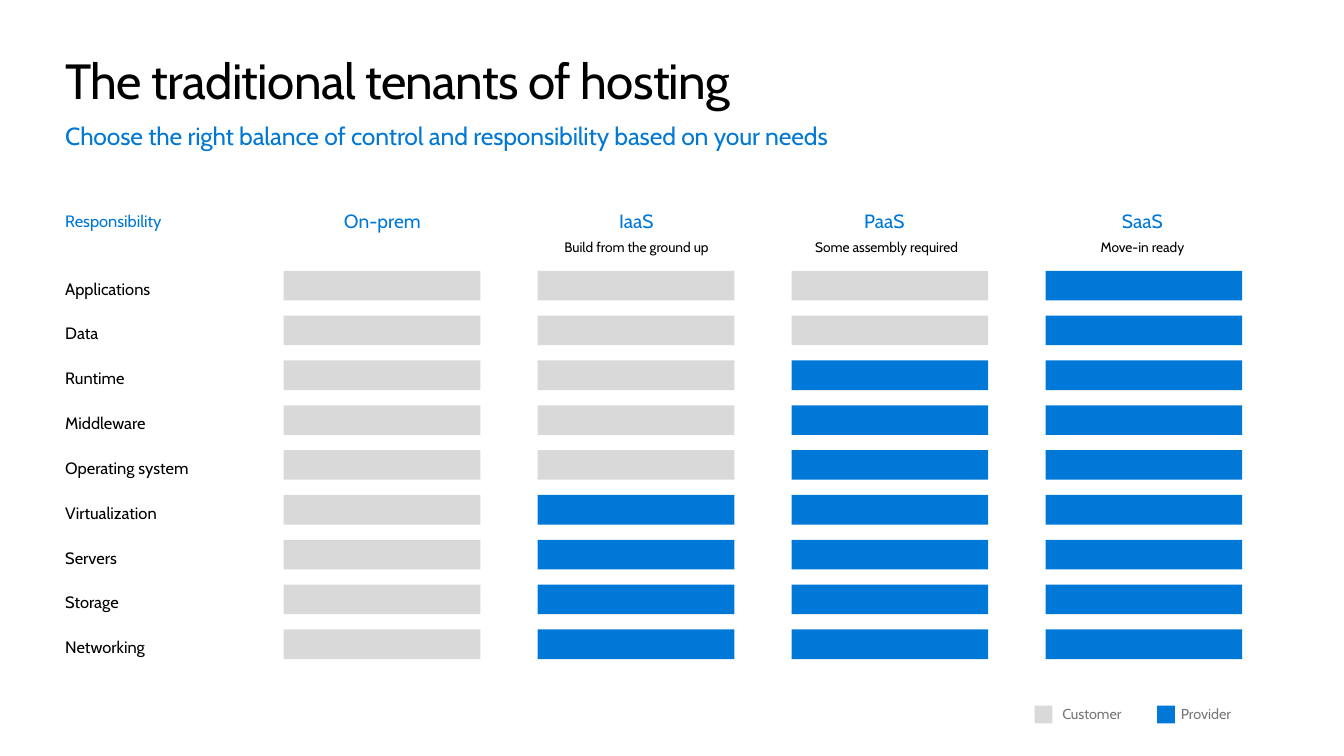
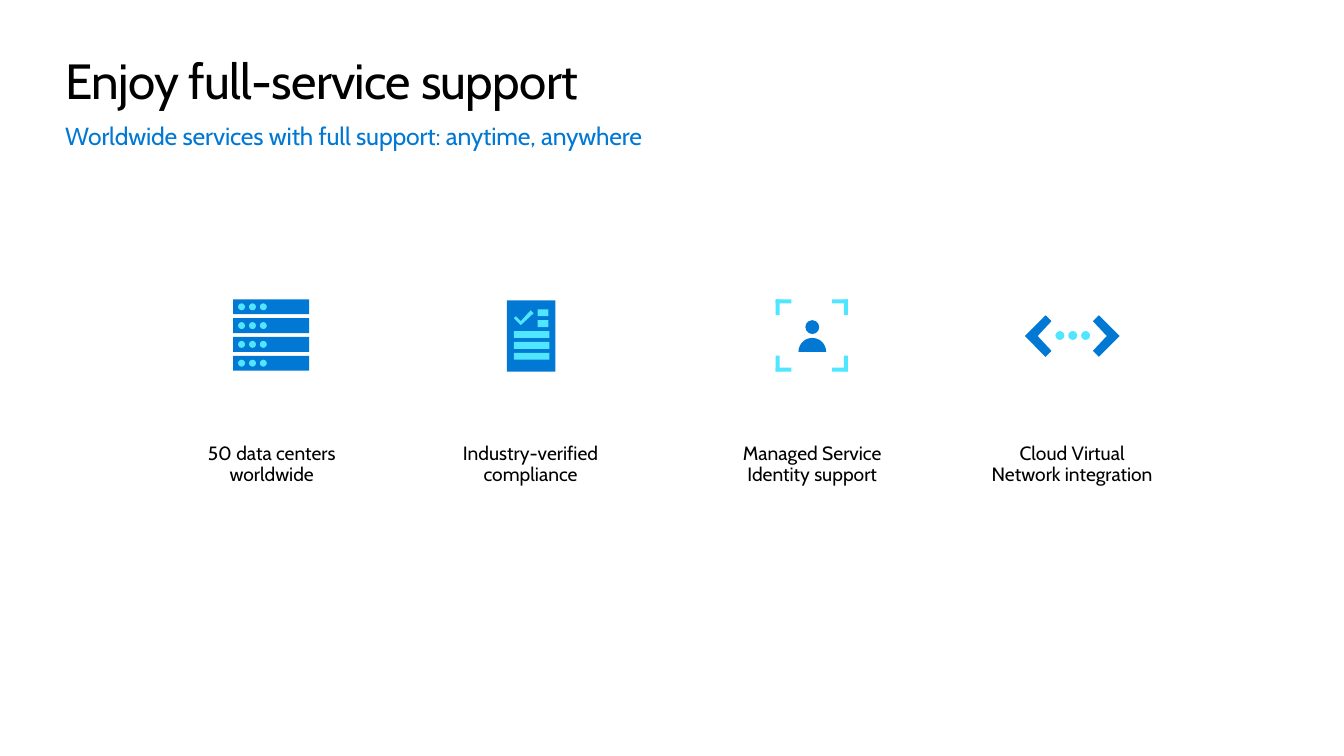
"""Build two slides: hosting responsibilities and full-service support."""
import math
from collections.abc import Callable
from dataclasses import dataclass

from pptx import Presentation
from pptx.dml.color import RGBColor
from pptx.enum.shapes import MSO_SHAPE
from pptx.enum.text import MSO_ANCHOR, PP_ALIGN
from pptx.shapes.autoshape import Shape
from pptx.slide import Slide
from pptx.util import Inches, Pt

RECTANGLE = MSO_SHAPE.RECTANGLE
ELLIPSE = MSO_SHAPE.OVAL
LEFT = PP_ALIGN.LEFT
CENTER = PP_ALIGN.CENTER
TOP = MSO_ANCHOR.TOP
MIDDLE = MSO_ANCHOR.MIDDLE

FONT = "Cabin"
BLACK = RGBColor(0x00, 0x00, 0x00)
WHITE = RGBColor(0xFF, 0xFF, 0xFF)
GRAY = RGBColor(0xD9, 0xD9, 0xD9)
LEGEND_GRAY = RGBColor(0x79, 0x79, 0x79)
BLUE = RGBColor(0x00, 0x78, 0xD7)
ICON_BLUE = RGBColor(0x00, 0x78, 0xD4)
CYAN = RGBColor(0x50, 0xE6, 0xFF)

MARGIN = 0.66
BAR_LEFT = 2.87
BAR_TOP = 2.74
BAR_WIDTH = 1.99
BAR_HEIGHT = 0.3
COLUMN_PITCH = 2.57
ROW_PITCH = 3.63 / 8
ICON_MIDDLE = 3.4
LABEL_INSETS = (0, 0.05, 0.1, 0.05)
BOX_INSETS = (0.1, 0.05, 0.1, 0.05)
NO_INSETS = (0, 0, 0, 0)


@dataclass(frozen=True)
class Style:
    """Look of a one-paragraph text box."""

    size: float
    color: RGBColor = BLACK
    align: PP_ALIGN = LEFT
    anchor: MSO_ANCHOR = TOP
    insets: tuple[float, float, float, float] = LABEL_INSETS
    line_spacing: float = 1.0
    tracking: int = 0


@dataclass(frozen=True)
class Hosting:
    """One hosting model, with the number of rows the customer manages."""

    name: str
    note: str
    customer_rows: int
    name_center: float
    note_center: float


@dataclass(frozen=True)
class LegendEntry:
    """A colour key and its label."""

    label: str
    color: RGBColor
    key_left: float
    label_left: float


@dataclass(frozen=True)
class Benefit:
    """An icon above a caption."""

    caption: str
    center: float
    draw_icon: Callable[[Slide, float], None]


TITLE = Style(36, insets=NO_INSETS, tracking=-50)
SUBTITLE = Style(18, ICON_BLUE, insets=NO_INSETS, tracking=-10)
ROW_LABEL = Style(12)
ROW_HEADING = Style(12, BLUE)
COLUMN_HEADING = Style(14, BLUE, CENTER, insets=BOX_INSETS)
COLUMN_NOTE = Style(10, align=CENTER, insets=BOX_INSETS)
LEGEND_LABEL = Style(10.5, LEGEND_GRAY, anchor=MIDDLE)
CAPTION = Style(14, align=CENTER, insets=BOX_INSETS, line_spacing=0.9)

ROWS = (
    "Applications",
    "Data",
    "Runtime",
    "Middleware",
    "Operating system",
    "Virtualization",
    "Servers",
    "Storage",
    "Networking",
)
HOSTINGS = (
    Hosting("On-prem", "", 9, 3.87, 3.87),
    Hosting("IaaS", "Build from the ground up", 5, 6.44, 6.44),
    Hosting("PaaS", "Some assembly required", 2, 8.95, 8.97),
    Hosting("SaaS", "Move-in ready", 0, 11.56, 11.56),
)
LEGEND = (
    LegendEntry("Customer", GRAY, 10.47, 10.75),
    LegendEntry("Provider", BLUE, 11.71, 11.95),
)


def add_text(page: Slide, text: str, left: float, top: float, width: float,
             height: float, style: Style) -> None:
    """Add a text box holding one paragraph."""
    box = page.shapes.add_textbox(Inches(left), Inches(top), Inches(width), Inches(height))
    frame = box.text_frame
    frame.word_wrap = True
    frame.vertical_anchor = style.anchor
    (frame.margin_left, frame.margin_top,
     frame.margin_right, frame.margin_bottom) = map(Inches, style.insets)
    para = frame.paragraphs[0]
    para.text = text
    para.alignment = style.align
    para.line_spacing = style.line_spacing
    para.font.name = FONT
    para.font.size = Pt(style.size)
    para.font.color.rgb = style.color
    if style.tracking:
        for span in para.runs:
            span._r.get_or_add_rPr().set("spc", str(style.tracking))


def paint(shape: Shape, color: RGBColor) -> None:
    """Give a shape a flat fill with no outline or shadow."""
    shape.shadow.inherit = False
    shape.fill.solid()
    shape.fill.fore_color.rgb = color
    shape.line.fill.background()


def add_block(page: Slide, left: float, top: float, width: float, height: float,
              color: RGBColor, kind: MSO_SHAPE = RECTANGLE) -> None:
    """Add a flat preset shape."""
    paint(page.shapes.add_shape(kind, Inches(left), Inches(top), Inches(width),
                                Inches(height)), color)


def add_outline(page: Slide, points: list[tuple[float, float]], color: RGBColor) -> None:
    """Add a flat closed polygon."""
    corners = [(Inches(x), Inches(y)) for x, y in points]
    builder = page.shapes.build_freeform(*corners[0])
    builder.add_line_segments(corners[1:], close=True)
    paint(builder.convert_to_shape(), color)


def add_page(deck: Presentation, title: str, subtitle: str) -> Slide:
    """Add a white page with its title and subtitle."""
    page = deck.slides.add_slide(deck.slide_layouts[6])
    page.background.fill.solid()
    page.background.fill.fore_color.rgb = WHITE
    add_text(page, title, MARGIN, 0.51, 12.29, 0.62, TITLE)
    add_text(page, subtitle, MARGIN, 1.22, 12.29, 0.3, SUBTITLE)
    return page


def draw_servers(page: Slide, center: float) -> None:
    """Draw a stack of four servers with three lights each."""
    left = center - 0.39
    for row in range(4):
        top = ICON_MIDDLE - 0.37 + row * 0.19
        add_block(page, left, top, 0.77, 0.15, ICON_BLUE)
        for light in range(3):
            add_block(page, left + 0.05 + light * 0.11, top + 0.04, 0.07, 0.07, CYAN, ELLIPSE)


def draw_checklist(page: Slide, center: float) -> None:
    """Draw a document with a check mark and lines."""
    left, top = center - 0.24, ICON_MIDDLE - 0.36
    add_block(page, left, top, 0.49, 0.72, ICON_BLUE)
    for row in range(5):
        indent, width = (0.31, 0.11) if row < 2 else (0.07, 0.36)
        add_block(page, left + indent, top + 0.09 + row * 0.11, width, 0.07, CYAN)
    check = [(0.07, 0.18), (0.09, 0.16), (0.14, 0.21), (0.24, 0.1), (0.27, 0.13), (0.14, 0.25)]
    add_outline(page, [(left + x, top + y) for x, y in check], CYAN)


def draw_identity(page: Slide, center: float) -> None:
    """Draw a person inside four corner brackets."""
    left, top, size, arm, stroke = center - 0.37, ICON_MIDDLE - 0.37, 0.73, 0.16, 0.04
    for side_x in (0, 1):
        for side_y in (0, 1):
            for width, height in ((arm, stroke), (stroke, arm)):
                add_block(page, left + side_x * (size - width),
                          top + side_y * (size - height), width, height, CYAN)
    add_block(page, center - 0.07, ICON_MIDDLE - 0.16, 0.14, 0.14, ICON_BLUE, ELLIPSE)
    angles = [math.pi * step / 24 for step in range(25)]
    shoulders = [(center - 0.14 * math.cos(angle), ICON_MIDDLE + 0.16 - 0.14 * math.sin(angle))
                 for angle in angles]
    add_outline(page, shoulders, ICON_BLUE)


def draw_network(page: Slide, center: float) -> None:
    """Draw two angle brackets around three dots."""
    chevron = [(0.48, 0), (0.27, -0.21), (0.21, -0.15), (0.35, 0), (0.21, 0.15), (0.27, 0.21)]
    for side in (-1, 1):
        add_outline(page, [(center + side * x, ICON_MIDDLE + y) for x, y in chevron], ICON_BLUE)
    for dot in (-1, 0, 1):
        add_block(page, center - 0.04 + dot * 0.13, ICON_MIDDLE - 0.05, 0.09, 0.09, CYAN, ELLIPSE)


BENEFITS = (
    Benefit("50 data centers\vworldwide", 2.75, draw_servers),
    Benefit("Industry-verified\vcompliance", 5.37, draw_checklist),
    Benefit("Managed Service\vIdentity support", 8.22, draw_identity),
    Benefit("Cloud Virtual\vNetwork integration", 10.85, draw_network),
)


def build_hosting(deck: Presentation) -> None:
    """Build the responsibility matrix."""
    page = add_page(deck, "The traditional tenants of hosting",
                    "Choose the right balance of control and responsibility based on your needs")
    add_text(page, "Responsibility", MARGIN, 2.09, 1.65, 0.3, ROW_HEADING)
    for row, label in enumerate(ROWS):
        add_text(page, label, MARGIN, BAR_TOP + 0.03 + row * ROW_PITCH, 1.59, 0.3, ROW_LABEL)
    for column, hosting in enumerate(HOSTINGS):
        add_text(page, hosting.name, hosting.name_center - 1, 2.07, 2, 0.34, COLUMN_HEADING)
        if hosting.note:
            add_text(page, hosting.note, hosting.note_center - 1, 2.37, 2, 0.27, COLUMN_NOTE)
        for row in range(len(ROWS)):
            add_block(page, BAR_LEFT + column * COLUMN_PITCH, BAR_TOP + row * ROW_PITCH,
                      BAR_WIDTH, BAR_HEIGHT, GRAY if row < hosting.customer_rows else BLUE)
    for entry in LEGEND:
        add_block(page, entry.key_left, 7.14, 0.18, 0.18, entry.color)
        add_text(page, entry.label, entry.label_left, 7.08, 0.8, 0.28, LEGEND_LABEL)


def build_support(deck: Presentation) -> None:
    """Build the row of support benefits."""
    page = add_page(deck, "Enjoy full-service support",
                    "Worldwide services with full support: anytime, anywhere")
    for benefit in BENEFITS:
        benefit.draw_icon(page, benefit.center)
        add_text(page, benefit.caption, benefit.center - 1, 4.44, 2, 0.53, CAPTION)


def main() -> None:
    """Build and save the deck."""
    deck = Presentation()
    deck.slide_width = Inches(13.6)
    deck.slide_height = Inches(7.65)
    build_hosting(deck)
    build_support(deck)
    deck.save("out.pptx")


if __name__ == "__main__":
    main()
